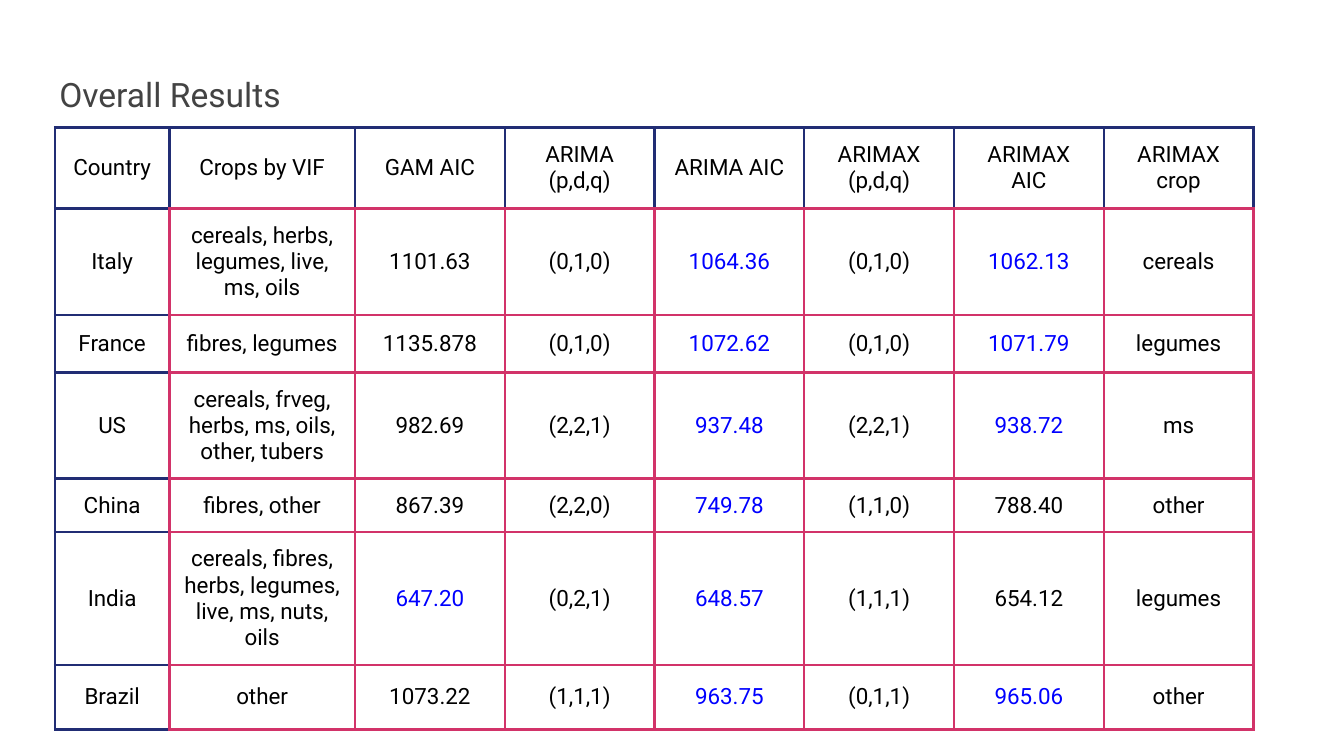
from lxml import etree
from pptx import Presentation
from pptx.dml.color import RGBColor
from pptx.enum.text import MSO_ANCHOR, PP_ALIGN
from pptx.oxml.ns import qn
from pptx.util import Cm, Pt

TOP, MIDDLE = MSO_ANCHOR.TOP, MSO_ANCHOR.MIDDLE
LEFT, CENTER = PP_ALIGN.LEFT, PP_ALIGN.CENTER
NAVY = RGBColor(0x21, 0x2D, 0x74)
PINK = RGBColor(0xD2, 0x33, 0x69)
BLUE = RGBColor(0x00, 0x00, 0xFF)
BLACK = RGBColor(0x00, 0x00, 0x00)
GREY = RGBColor(0x43, 0x43, 0x43)
FONT = "Roboto"
INSET = Cm(0.25)

ROWS = [
    ["Country", "Crops by VIF", "GAM AIC", "ARIMA (p,d,q)", "ARIMA AIC",
     "ARIMAX (p,d,q)", "ARIMAX AIC", "ARIMAX crop"],
    ["Italy", "cereals, herbs, legumes, live, ms, oils", "1101.63", "(0,1,0)",
     "1064.36", "(0,1,0)", "1062.13", "cereals"],
    ["France", "fibres, legumes", "1135.878", "(0,1,0)",
     "1072.62", "(0,1,0)", "1071.79", "legumes"],
    ["US", "cereals, frveg, herbs, ms, oils, other, tubers", "982.69", "(2,2,1)",
     "937.48", "(2,2,1)", "938.72", "ms"],
    ["China", "fibres, other", "867.39", "(2,2,0)",
     "749.78", "(1,1,0)", "788.40", "other"],
    ["India", "cereals, fibres, herbs, legumes, live, ms, nuts, oils", "647.20", "(0,2,1)",
     "648.57", "(1,1,1)", "654.12", "legumes"],
    ["Brazil", "other", "1073.22", "(1,1,1)",
     "963.75", "(0,1,1)", "965.06", "other"],
]
BEST_AIC = {"Italy": (4, 6), "France": (4, 6), "US": (4, 6),
            "China": (4,), "India": (2, 4), "Brazil": (4, 6)}
COL_WIDTHS = [2.16, 3.51] + [2.83] * 6
ROW_HEIGHTS = [1.53, 2.01, 1.09, 2.01, 1.01, 2.51, 1.22]


def write_text(tf, text, size, color, align):
    p = tf.paragraphs[0]
    p.alignment = align
    r = p.add_run()
    r.text = text
    r.font.name = FONT
    r.font.size = Pt(size)
    r.font.bold = False
    r.font.color.rgb = color


def set_borders(cell, colors):
    tc_pr = cell._tc.get_or_add_tcPr()
    for i, (side, color) in enumerate(colors.items()):
        ln = etree.Element(qn("a:ln" + side), w=str(Pt(1.5)))
        fill = etree.SubElement(ln, qn("a:solidFill"))
        etree.SubElement(fill, qn("a:srgbClr"), val=str(color))
        tc_pr.insert(i, ln)


prs = Presentation()
prs.slide_width, prs.slide_height = Cm(25.4), Cm(14.29)
s = prs.slides.add_slide(prs.slide_layouts[5])

title = s.shapes.title
title.left, title.top, title.width, title.height = Cm(0.87), Cm(1.14), Cm(23.67), Cm(1.67)
tf = title.text_frame
tf.vertical_anchor = TOP
tf.margin_left = tf.margin_right = tf.margin_top = tf.margin_bottom = INSET
write_text(tf, "Overall Results", 18, GREY, LEFT)

table = s.shapes.add_table(len(ROWS), len(COL_WIDTHS), Cm(1.04), Cm(2.41),
                           Cm(sum(COL_WIDTHS)), Cm(sum(ROW_HEIGHTS))).table
table.first_row = table.horz_banding = False
for column, width in zip(table.columns, COL_WIDTHS):
    column.width = Cm(width)
for row, height in zip(table.rows, ROW_HEIGHTS):
    row.height = Cm(height)

for i, values in enumerate(ROWS):
    for j, value in enumerate(values):
        cell = table.cell(i, j)
        cell.vertical_anchor = MIDDLE
        cell.margin_left = cell.margin_right = INSET
        cell.margin_top = cell.margin_bottom = INSET
        cell.fill.background()
        color = BLUE if j in BEST_AIC.get(values[0], ()) else BLACK
        write_text(cell.text_frame, value, 12, color, CENTER)
        header, country = i == 0, j == 0
        set_borders(cell, {
            "L": NAVY if header or country else PINK,
            "R": NAVY if header else PINK,
            "T": NAVY if header or country else PINK,
            "B": NAVY if country else PINK,
        })

prs.save("out.pptx")
